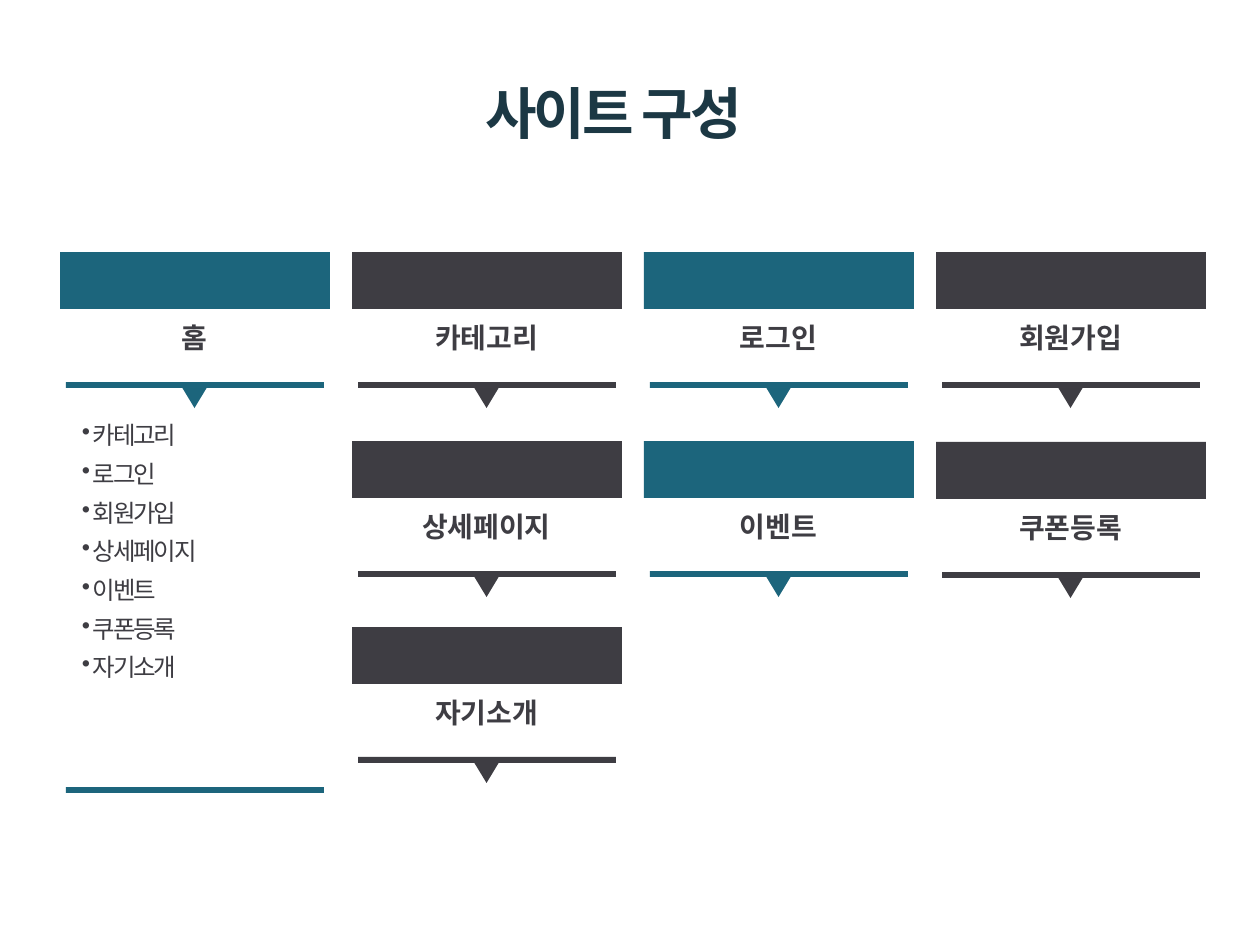
from dataclasses import dataclass

from lxml.etree import SubElement
from pptx import Presentation
from pptx.dml.color import RGBColor
from pptx.enum.shapes import MSO_SHAPE as Preset
from pptx.enum.text import MSO_ANCHOR as Anchor, MSO_AUTO_SIZE as AutoSize, PP_ALIGN as Align
from pptx.oxml.ns import qn
from pptx.util import Emu, Pt

PX_PER_INCH = 126


@dataclass(frozen=True)
class Theme:
    teal: str = "1C657C"
    charcoal: str = "3E3D43"
    navy: str = "1C3844"
    white: str = "FFFFFF"
    panel_alpha: int = 40
    font: str = "Noto Sans CJK KR"
    title_size: int = 32
    label_size: int = 16
    menu_size: int = 14


@dataclass(frozen=True)
class Box:
    left: int
    top: int
    width: int
    height: int

    def emu(self) -> list[Emu]:
        return [px(n) for n in (self.left, self.top, self.width, self.height)]


@dataclass(frozen=True)
class Card:
    label: str
    column: int
    top: int
    color: str
    panel_height: int = 85


THEME = Theme()
COLUMN_LEFT, COLUMN_PITCH = 60, 292
ROW_1, ROW_2, ROW_3 = 252, 441, 627

CARDS = [
    Card("홈", 0, ROW_1, THEME.teal, panel_height=495),
    Card("카테고리", 1, ROW_1, THEME.charcoal),
    Card("로그인", 2, ROW_1, THEME.teal),
    Card("회원가입", 3, ROW_1, THEME.charcoal),
    Card("상세페이지", 1, ROW_2, THEME.charcoal),
    Card("이벤트", 2, ROW_2, THEME.teal),
    Card("쿠폰등록", 3, ROW_2 + 1, THEME.charcoal),
    Card("자기소개", 1, ROW_3, THEME.charcoal),
]
HOME_MENU = ["카테고리", "로그인", "회원가입", "상세페이지", "이벤트", "쿠폰등록", "자기소개"]


def px(n: int) -> Emu:
    return Emu(round(n * 914400 / PX_PER_INCH))


def apply(target, formats: dict) -> None:
    for name, value in formats.items():
        setattr(target, name, value)


def draw_block(slide, preset, box: Box, color: str, alpha: int = 100, rotation: int = 0) -> None:
    block = slide.shapes.add_shape(preset, *box.emu())
    block.shadow.inherit = False
    block.rotation = rotation
    block.fill.solid()
    block.fill.fore_color.rgb = RGBColor.from_string(color)
    block.line.fill.background()
    if alpha < 100:
        rgb = block.fill._xPr.find(qn("a:solidFill"))[0]
        SubElement(rgb, qn("a:alpha"), val=str(alpha * 1000))


def set_frame(frame, margin_x: int = 0, margin_y: int = 0, anchor=Anchor.TOP) -> None:
    apply(frame, {
        "word_wrap": True, "auto_size": AutoSize.NONE, "vertical_anchor": anchor,
        "margin_left": px(margin_x), "margin_right": px(margin_x),
        "margin_top": px(margin_y), "margin_bottom": px(margin_y),
    })


def write(paragraph, words: str, size: int, color: str, bold: bool = False,
          tracking: int = 0, **formats) -> None:
    """Fill one paragraph; tracking is in hundredths of a point."""
    apply(paragraph, formats)
    run = paragraph.add_run()
    run.text = words
    apply(run.font, {"size": Pt(size), "bold": bold, "name": THEME.font})
    run.font.color.rgb = RGBColor.from_string(color)
    properties = run.font._element
    SubElement(properties, qn("a:ea"), typeface=THEME.font)
    if tracking:
        properties.set("spc", str(tracking))


def draw_title(slide) -> None:
    title = slide.shapes.title
    apply(title, dict(zip(("left", "top", "width", "height"), Box(472, 72, 297, 88).emu())))
    set_frame(title.text_frame, 13, 6, Anchor.MIDDLE)
    write(title.text_frame.paragraphs[0], "사이트 구성", THEME.title_size, THEME.navy,
          bold=True, tracking=-150, alignment=Align.LEFT, line_spacing=0.9)


def draw_rule(slide, left: int, top: int, color: str) -> None:
    draw_block(slide, Preset.RECTANGLE, Box(left + 6, top, 258, 6), color)


def draw_card(slide, card: Card) -> None:
    left, top = COLUMN_LEFT + card.column * COLUMN_PITCH, card.top
    draw_block(slide, Preset.RECTANGLE, Box(left + 6, top + 45, 258, card.panel_height),
               THEME.white, THEME.panel_alpha)
    draw_block(slide, Preset.RECTANGLE, Box(left, top, 270, 57), card.color)
    draw_rule(slide, left, top + 130, card.color)
    label = slide.shapes.add_textbox(*Box(left + 9, top + 69, 251, 44).emu()).text_frame
    set_frame(label)
    write(label.paragraphs[0], card.label, THEME.label_size, THEME.charcoal, bold=True,
          alignment=Align.CENTER, space_before=Pt(1.7))
    draw_block(slide, Preset.ISOSCELES_TRIANGLE, Box(left + 120, top + 132, 29, 24),
               card.color, rotation=180)


def draw_home_menu(slide) -> None:
    menu = slide.shapes.add_textbox(*Box(COLUMN_LEFT + 9, 417, 251, 404).emu()).text_frame
    set_frame(menu, 13, 6)
    for index, page in enumerate(HOME_MENU):
        item = menu.add_paragraph() if index else menu.paragraphs[0]
        write(item, page, THEME.menu_size, THEME.charcoal, tracking=-130,
              line_spacing=Pt(15.3), space_before=Pt(6.8))
        properties = item._p.get_or_add_pPr()
        properties.set("marL", str(px(11)))
        properties.set("indent", str(-px(11)))
        SubElement(properties, qn("a:buChar"), char="•")
    draw_rule(slide, COLUMN_LEFT, 787, THEME.teal)


def main() -> None:
    deck = Presentation()
    apply(deck, {"slide_width": px(1260), "slide_height": px(945)})
    slide = deck.slides.add_slide(deck.slide_layouts[5])

    # Heading
    draw_title(slide)
    # One card per page of the site
    for card in CARDS:
        draw_card(slide, card)
    # Links listed under the home card
    draw_home_menu(slide)

    deck.save("out.pptx")


if __name__ == "__main__":
    main()
